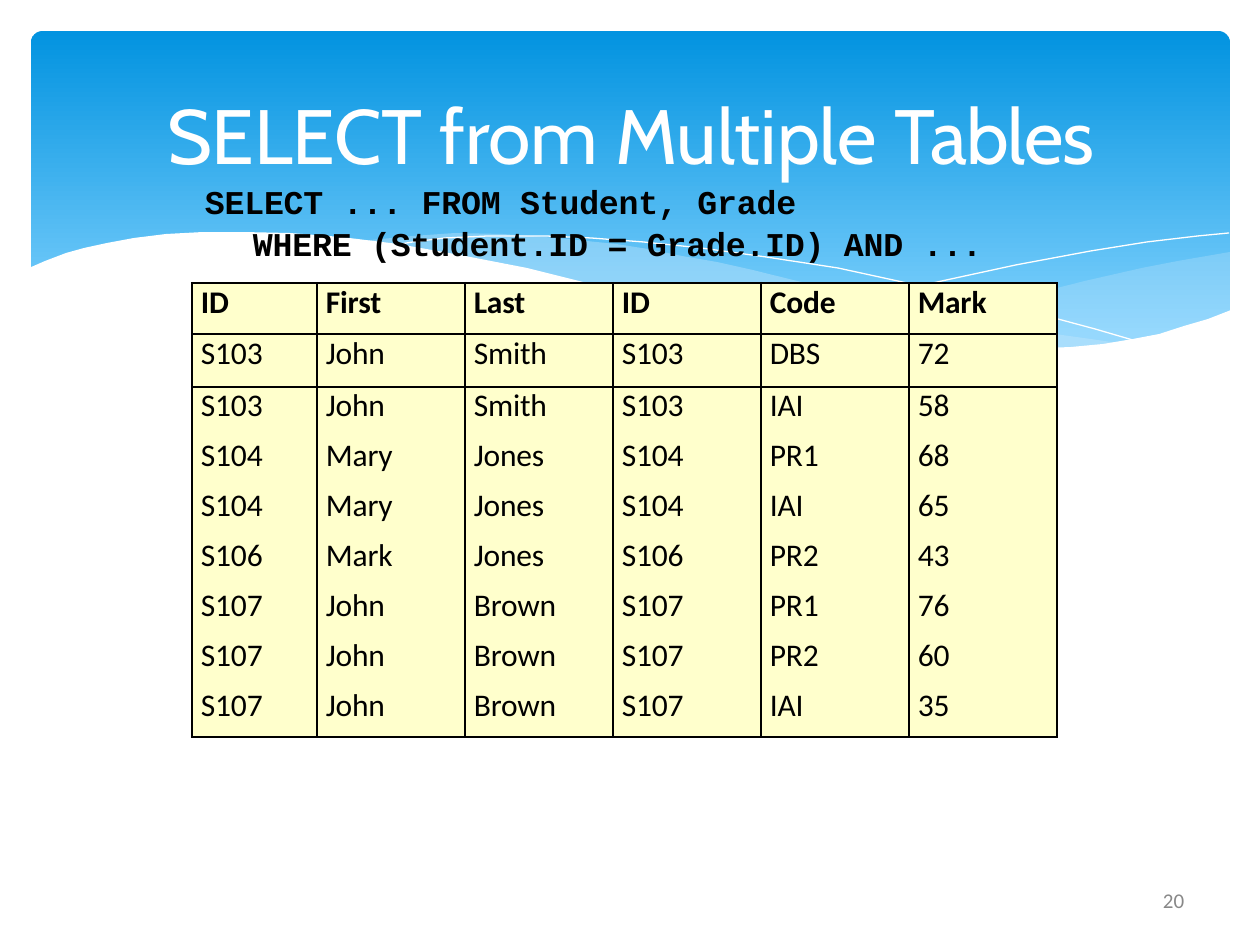
"""Build a slide that shows a SELECT over two joined tables."""
from dataclasses import dataclass
from typing import NamedTuple

from lxml.etree import SubElement
from pptx import Presentation
from pptx.dml.color import RGBColor
from pptx.enum.shapes import MSO_SHAPE
from pptx.enum.text import MSO_ANCHOR, PP_ALIGN
from pptx.oxml.ns import qn
from pptx.util import Emu, Pt

EMU_PER_PX = 914400 / 126


@dataclass(frozen=True)
class Theme:
    white: str = "FFFFFF"
    black: str = "000000"
    grey: str = "888888"
    sky_top: str = "0293E0"
    sky_bottom: str = "83D3FE"
    wave: str = "C6E7FC"
    cell: str = "FFFFCC"
    title_size: int = 44
    code_size: int = 19
    table_size: int = 18
    number_size: int = 12
    border_width: float = 1.5


class Box(NamedTuple):
    left: int
    top: int
    width: int
    height: int


class Style(NamedTuple):
    font: str
    size: int
    color: str
    bold: bool = False


class Piece(NamedTuple):
    text: str
    spacing: float = -0.1


class Line(NamedTuple):
    pieces: list[Piece]
    indent: int = 0
    space_before: float = 0
    align: PP_ALIGN = PP_ALIGN.LEFT
    line_spacing: float | None = None


class Wave(NamedTuple):
    points: list[tuple[int, int]]
    fill: str | None = None
    opacity: int = 100


THEME = Theme()
WAVES = [
    Wave([(1230, 252), (1178, 261), (1142, 268), (1085, 281), (1014, 299), (949, 312),
          (890, 324), (833, 334), (871, 339), (906, 343), (939, 347), (984, 349),
          (1026, 350), (1076, 348), (1110, 344), (1140, 339), (1169, 331), (1196, 324),
          (1230, 311)], THEME.wave, 29),
    Wave([(1125, 344), (1091, 339), (1055, 334), (1017, 328), (977, 320), (934, 311),
          (890, 302), (842, 291), (793, 280), (753, 270), (717, 262), (682, 256),
          (648, 249), (616, 244), (557, 238), (503, 234), (455, 233), (413, 236),
          (360, 241), (407, 247), (456, 256), (509, 266), (566, 280), (619, 292),
          (668, 302), (713, 312), (757, 321), (799, 329), (838, 335), (876, 340),
          (927, 347), (974, 349), (1017, 350), (1056, 350), (1092, 348)], THEME.wave, 40),
    Wave([(389, 246), (413, 242), (445, 238), (488, 236), (546, 236), (591, 238),
          (643, 242), (701, 248), (766, 257), (838, 268), (916, 285), (1002, 304),
          (1095, 329), (1143, 343)]),
    Wave([(772, 324), (823, 310), (876, 296), (942, 281), (1016, 265), (1091, 251),
          (1147, 242), (1198, 236), (1229, 233)]),
    Wave([(1231, 310), (1208, 319), (1184, 326), (1159, 334), (1133, 339), (1103, 344),
          (1071, 347), (1019, 349), (980, 348), (937, 345), (892, 340), (842, 334),
          (789, 325), (730, 315), (667, 301), (599, 286), (527, 268), (460, 255),
          (398, 244), (341, 237), (290, 233), (243, 232), (203, 232), (166, 234),
          (134, 238), (107, 243), (84, 248), (66, 253), (45, 261), (29, 268),
          (29, 415), (1231, 415)], THEME.white),
]
ROWS = [
    ("ID", "First", "Last", "ID", "Code", "Mark"),
    ("S103", "John", "Smith", "S103", "DBS", "72"),
    ("S103", "John", "Smith", "S103", "IAI", "58"),
    ("S104", "Mary", "Jones", "S104", "PR1", "68"),
    ("S104", "Mary", "Jones", "S104", "IAI", "65"),
    ("S106", "Mark", "Jones", "S106", "PR2", "43"),
    ("S107", "John", "Brown", "S107", "PR1", "76"),
    ("S107", "John", "Brown", "S107", "PR2", "60"),
    ("S107", "John", "Brown", "S107", "IAI", "35"),
]
COLUMN_WIDTHS = [125] + [148] * 5
ROW_HEIGHTS = [51, 53] + [50] * 7
SPACES_BEFORE = [1.6, 1.7] + [0.9] * 7


def px(length: int) -> Emu:
    return Emu(round(length * EMU_PER_PX))


def rgb(color: str) -> RGBColor:
    return RGBColor.from_string(color)


def fill_line(paragraph, line: Line, style: Style) -> None:
    paragraph.alignment = line.align
    paragraph.space_before = Pt(line.space_before)
    if line.line_spacing:
        paragraph.line_spacing = Pt(line.line_spacing)
    paragraph._p.get_or_add_pPr().set("marL", str(px(line.indent)))
    for piece in line.pieces:
        run = paragraph.add_run()
        run.text = piece.text
        run.font.name = style.font
        run.font.size = Pt(style.size)
        run.font.bold = style.bold
        run.font.color.rgb = rgb(style.color)
        run._r.get_or_add_rPr().set("spc", str(round(piece.spacing * 100)))


def add_text(slide, box: Box, lines: list[Line], style: Style,
             anchor: MSO_ANCHOR = MSO_ANCHOR.TOP) -> None:
    frame = slide.shapes.add_textbox(*map(px, box)).text_frame
    frame.word_wrap = True
    frame.vertical_anchor = anchor
    frame.margin_left = frame.margin_right = frame.margin_top = frame.margin_bottom = 0
    for index, line in enumerate(lines):
        paragraph = frame.add_paragraph() if index else frame.paragraphs[0]
        fill_line(paragraph, line, style)


def add_sky(slide, box: Box) -> None:
    shape = slide.shapes.add_shape(MSO_SHAPE.ROUNDED_RECTANGLE, *map(px, box))
    shape.adjustments[0] = 0.034
    shape.shadow.inherit = False
    shape.line.fill.background()
    shape.fill.gradient()
    shape.fill.gradient_angle = 270
    stops = zip(shape.fill.gradient_stops, (0, 0.9), (THEME.sky_top, THEME.sky_bottom))
    for stop, position, color in stops:
        stop.position = position
        stop.color.rgb = rgb(color)


def add_wave(slide, wave: Wave) -> None:
    builder = slide.shapes.build_freeform(*wave.points[0], scale=EMU_PER_PX)
    builder.add_line_segments(wave.points[1:], close=wave.fill is not None)
    shape = builder.convert_to_shape()
    shape.shadow.inherit = False
    if wave.fill is None:
        shape.fill.background()
        shape.line.color.rgb = rgb(THEME.white)
        shape.line.width = Pt(0)
        return
    shape.line.fill.background()
    shape.fill.solid()
    shape.fill.fore_color.rgb = rgb(wave.fill)
    color = shape._element.spPr.find(qn("a:solidFill"))[0]
    SubElement(color, qn("a:alpha"), val=str(wave.opacity * 1000))


def add_borders(cell, visible_sides: str) -> None:
    properties = cell._tc.get_or_add_tcPr()
    for side in "LRTB":
        border = SubElement(properties, qn(f"a:ln{side}"), w=str(Pt(THEME.border_width)))
        if side in visible_sides:
            fill = SubElement(border, qn("a:solidFill"))
            SubElement(fill, qn("a:srgbClr"), val=THEME.black)
        else:
            SubElement(border, qn("a:noFill"))


def add_grades(slide, left: int, top: int) -> None:
    box = Box(left, top, sum(COLUMN_WIDTHS), sum(ROW_HEIGHTS))
    table = slide.shapes.add_table(len(ROWS), len(COLUMN_WIDTHS), *map(px, box)).table
    table.first_row = table.horz_banding = False
    for column, width in zip(table.columns, COLUMN_WIDTHS):
        column.width = px(width)
    for index, (row, values) in enumerate(zip(table.rows, ROWS)):
        row.height = px(ROW_HEIGHTS[index])
        style = Style("Calibri", THEME.table_size, THEME.black, bold=index == 0)
        top_side = "T" if index <= 2 else ""
        bottom_side = "B" if index <= 1 or index == len(ROWS) - 1 else ""
        for cell, value in zip(row.cells, values):
            cell.margin_left = cell.margin_right = cell.margin_top = cell.margin_bottom = 0
            add_borders(cell, "LR" + top_side + bottom_side)
            cell.fill.solid()
            cell.fill.fore_color.rgb = rgb(THEME.cell)
            line = Line([Piece(value)], 9, SPACES_BEFORE[index])
            fill_line(cell.text_frame.paragraphs[0], line, style)


def main() -> None:
    presentation = Presentation()
    presentation.slide_width, presentation.slide_height = px(1260), px(945)
    slide = presentation.slides.add_slide(presentation.slide_layouts[6])
    add_sky(slide, Box(31, 31, 1199, 340))
    for wave in WAVES:
        add_wave(slide, wave)
    title = [Piece("SELECT "), Piece("from ", -0.2), Piece("Multiple ", 0), Piece("Tables", -0.6)]
    add_text(slide, Box(63, 47, 1134, 173), [Line(title, 2, align=PP_ALIGN.CENTER)],
             Style("Cabin", THEME.title_size, THEME.white), MSO_ANCHOR.MIDDLE)
    add_text(slide, Box(1162, 891, 25, 24), [Line([Piece("20", 0)], 1, line_spacing=12.4)],
             Style("Calibri", THEME.number_size, THEME.grey))
    code = [Line([Piece("SELECT ... FROM Student, Grade")], 1),
            Line([Piece("WHERE (Student.ID = Grade.ID) AND ...")], 49, 1.5)]
    add_text(slide, Box(204, 181, 788, 83), code,
             Style("Courier New", THEME.code_size, THEME.black, bold=True))
    add_grades(slide, 192, 283)
    presentation.save("out.pptx")


if __name__ == "__main__":
    main()
